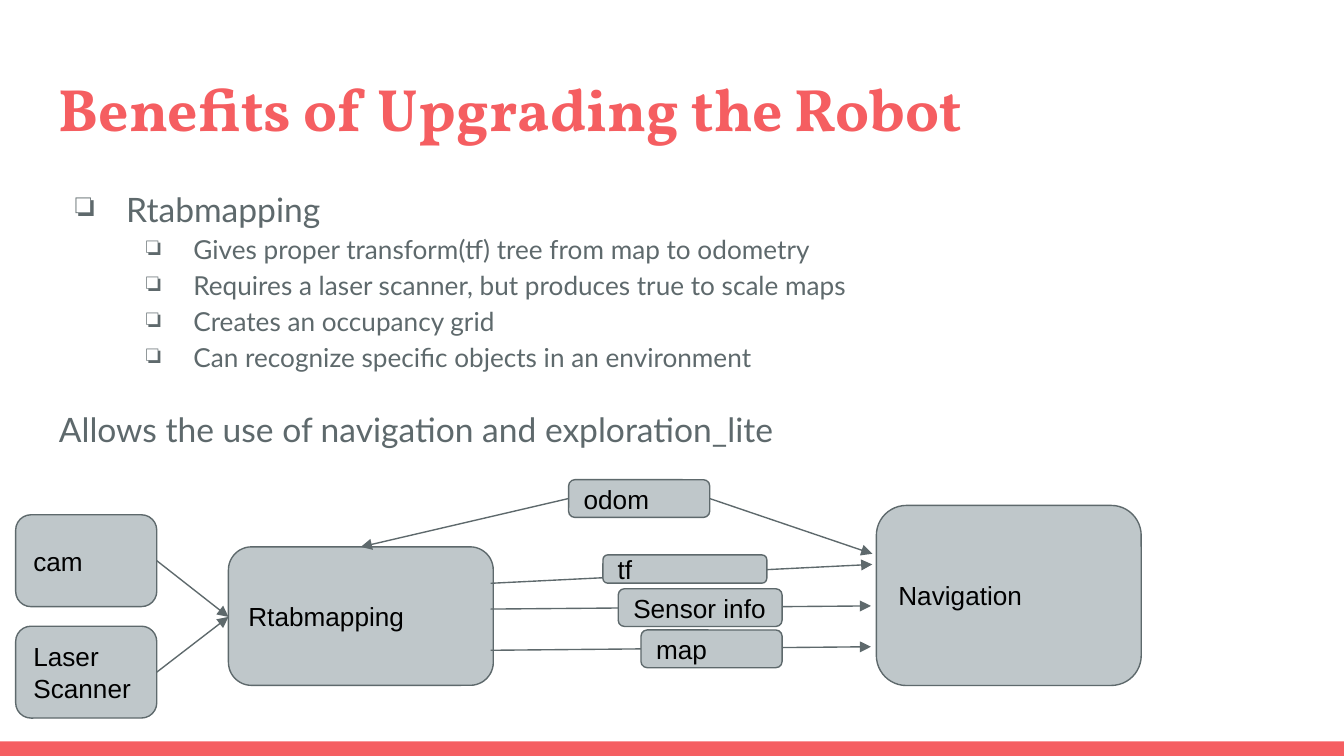
from lxml.etree import SubElement
from pptx import Presentation
from pptx.dml.color import RGBColor
from pptx.enum.shapes import MSO_CONNECTOR as CONNECTOR, MSO_SHAPE as SHAPE
from pptx.enum.text import MSO_ANCHOR as ANCHOR, PP_ALIGN as ALIGN
from pptx.oxml.ns import qn
from pptx.util import Pt

COLORS = {"coral": "F55E61", "slate": "5E696C", "box": "BFC7CA", "label": "000000"}
WIDTH, HEIGHT = 720, 405
INSET = 7.2

TITLE = "Benefits of Upgrading the Robot"
# text, size, left margin, first-line indent, space before
BODY = [("Rtabmapping", 18, 36, -27, 0)]
BODY += [(benefit, 14, 72, -25.2, 0) for benefit in (
    "Gives proper transform(tf) tree from map to odometry",
    "Requires a laser scanner, but produces true to scale maps",
    "Creates an occupancy grid",
    "Can recognize specific objects in an environment",
)]
BODY += [("Allows the use of navigation and exploration_lite", 18, 0, 0, 16)]

# lines of text, left, top, width, height
MODULES = [
    (["Rtabmapping"], 122.4, 293, 141.9, 74.2),
    (["Navigation"], 469.5, 270.8, 141.9, 96.5),
    (["cam"], 8.4, 275.8, 75.6, 49.2),
    (["Laser", "Scanner"], 8.4, 335.5, 75.6, 49.2),
]
TOPICS = [
    (["odom"], 304.6, 257, 75.6, 20.2),
    (["map"], 343.4, 337.5, 75.6, 20.2),
    (["Sensor info"], 331.2, 315.4, 87.8, 20.2),
    (["tf"], 323, 297.3, 87.8, 15.1),
]
MAPPING_IN = (122.4, 330.5)
MAPPING_OUT = 262.8
ARROWS = [
    ((84, 300.4), MAPPING_IN),
    ((84, 360.1), MAPPING_IN),
    ((MAPPING_OUT, 312.5), (467.3, 302.4)),
    ((MAPPING_OUT, 348.4), (466.6, 346.5)),
    ((MAPPING_OUT, 326.3), (466.6, 324.6)),
    ((304.6, 267.1), (193.3, 293)),
    ((380.2, 267.1), (467.3, 296.7)),
]


def rgb(name):
    return RGBColor.from_string(COLORS[name])


def set_font(paragraph, name, size, color, bold=False):
    font = paragraph.font
    font.name, font.size, font.bold = name, Pt(size), bold
    font.color.rgb = rgb(color)


def set_frame(frame):
    frame.word_wrap = True
    frame.margin_left = frame.margin_right = Pt(INSET)
    frame.margin_top = frame.margin_bottom = Pt(INSET)


def add_text(slide, *place):
    frame = slide.shapes.add_textbox(*map(Pt, place)).text_frame
    set_frame(frame)
    return frame


def add_bullet(paragraph, left, indent):
    props = paragraph._p.get_or_add_pPr()
    props.set("marL", str(Pt(left)))
    props.set("indent", str(Pt(indent)))
    color = SubElement(props, qn("a:buClr"))
    SubElement(color, qn("a:srgbClr"), val=COLORS["slate"])
    SubElement(props, qn("a:buChar"), char="❏")


def add_body(slide):
    frame = add_text(slide, 24.5, 90.7, 671, 269.3)
    for i, (text, size, left, indent, before) in enumerate(BODY):
        paragraph = frame.add_paragraph() if i else frame.paragraphs[0]
        paragraph.text = text
        if indent:
            add_bullet(paragraph, left, indent)
        paragraph.line_spacing = 1.15
        paragraph.space_before = Pt(before)
        set_font(paragraph, "Lato", size, "slate")


def add_shape(slide, kind, fill, *place):
    shape = slide.shapes.add_shape(kind, *map(Pt, place))
    shape.shadow.inherit = False
    shape.fill.solid()
    shape.fill.fore_color.rgb = rgb(fill)
    return shape


def add_node(slide, lines, *place):
    node = add_shape(slide, SHAPE.ROUNDED_RECTANGLE, "box", *place)
    node.line.color.rgb = rgb("slate")
    node.line.width = Pt(0.75)
    frame = node.text_frame
    set_frame(frame)
    frame.vertical_anchor = ANCHOR.MIDDLE
    frame.text = "\n".join(lines)
    for paragraph in frame.paragraphs:
        paragraph.alignment = ALIGN.LEFT
        set_font(paragraph, "Arial", 14, "label")


def add_arrow(slide, start, end):
    arrow = slide.shapes.add_connector(CONNECTOR.STRAIGHT, *map(Pt, start + end))
    arrow.line.color.rgb = rgb("slate")
    arrow.line.width = Pt(0.75)
    SubElement(arrow.line._get_or_add_ln(), qn("a:tailEnd"), type="triangle")
    SubElement(arrow._element.spPr, qn("a:effectLst"))


def main():
    deck = Presentation()
    deck.slide_width, deck.slide_height = Pt(WIDTH), Pt(HEIGHT)
    slide = deck.slides.add_slide(deck.slide_layouts[6])

    footer = add_shape(slide, SHAPE.RECTANGLE, "coral", 0, 397.2, WIDTH, HEIGHT - 397.2)
    footer.line.fill.background()

    title = add_text(slide, 24.5, 31, 671, 49)
    title.text = TITLE
    set_font(title.paragraphs[0], "Vollkorn", 32, "coral", bold=True)
    add_body(slide)

    for module in MODULES:
        add_node(slide, *module)
    for start, end in ARROWS:
        add_arrow(slide, start, end)
    for topic in TOPICS:
        add_node(slide, *topic)

    deck.save("out.pptx")


if __name__ == "__main__":
    main()
